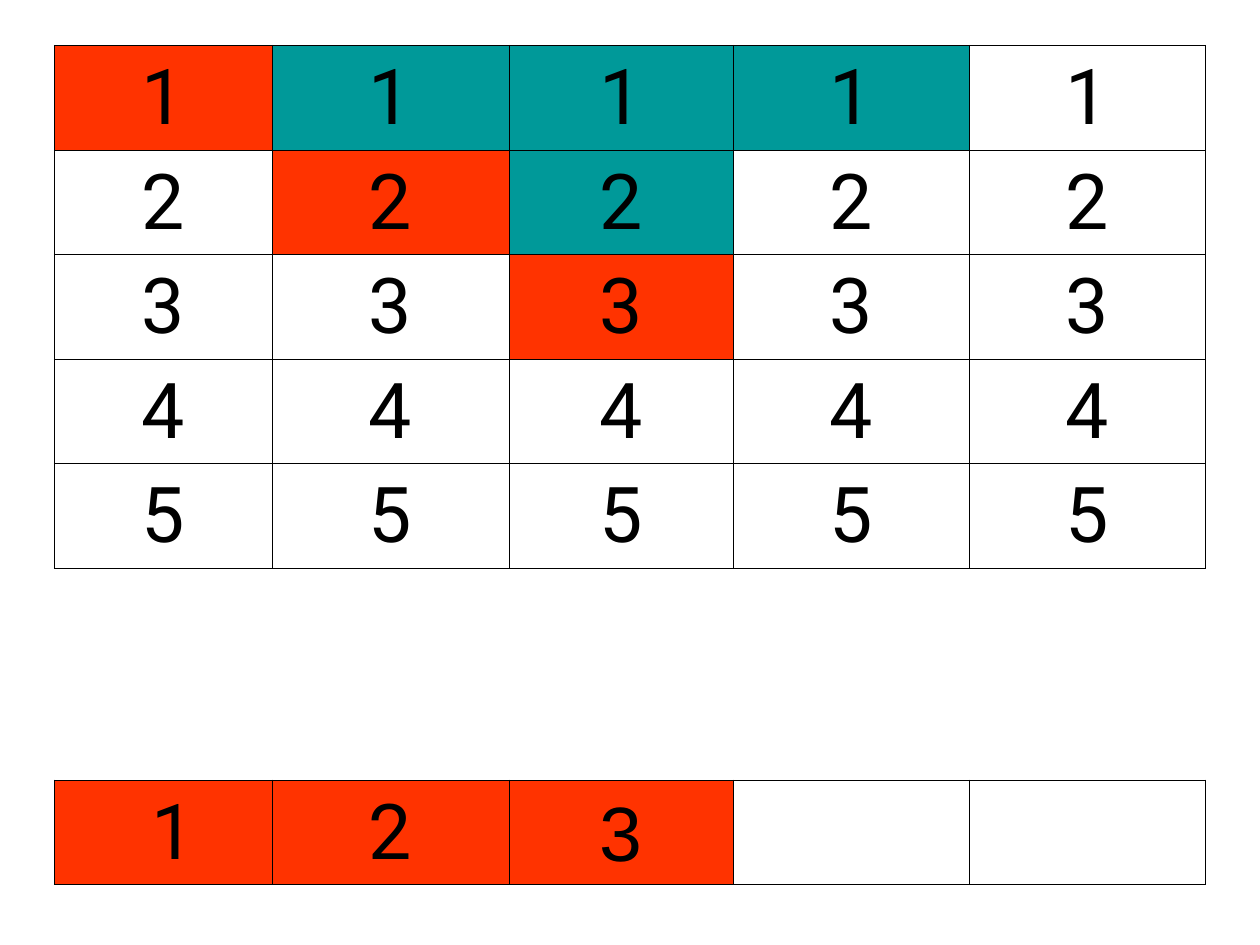
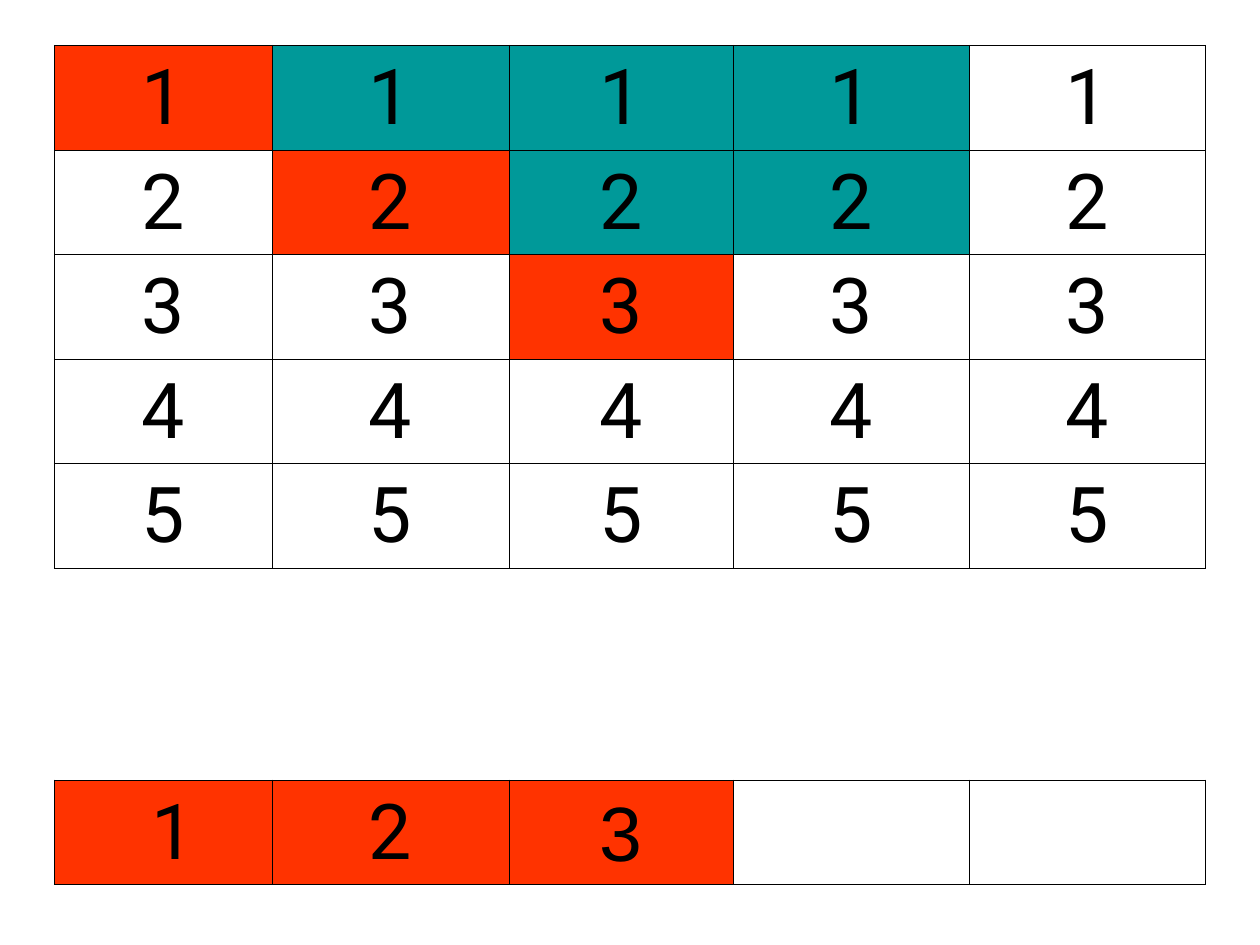
from dataclasses import dataclass

from lxml import etree
from pptx import Presentation
from pptx.dml.color import RGBColor
from pptx.enum.text import MSO_ANCHOR, PP_ALIGN
from pptx.oxml.ns import qn
from pptx.util import Emu, Pt

CENTER = PP_ALIGN.CENTER
BOTTOM = MSO_ANCHOR.BOTTOM

# Lengths are in px, 100 to the inch
SCALE = 9144
LEFT, TOP = 43, 36
COLS = (173, 188, 178, 187, 188)
ROW, GAP = 83, 168
ROWS = (ROW,) * 5 + (GAP, ROW)
GAP_ROW = 5

INK = "000000"
FILLS = {"r": "FF3300", "t": "009999", "w": "FFFFFF"}
EDGE = 0.45

# Top grid: each row repeats its number; the last row is the result
TEXTS = [[str(n)] * 5 for n in range(1, 6)] + [[""] * 5, [" 1", "2", "3", "", ""]]


@dataclass(frozen=True)
class Step:
    """One stage of the grid: a fill mark for each cell, row by row."""
    marks: tuple[str, ...]


def make_step(second: str) -> Step:
    return Step(("rttt.", second, "..r..", "....w", "...w.", ".....", "rrr.."))


STEPS = (make_step(".rt.."), make_step(".rtt."))


def px(size: int) -> Emu:
    return Emu(size * SCALE)


def color(code: str) -> RGBColor:
    return RGBColor.from_string(code)


def put_text(cell, text: str, *, size: int = 44, font: str = "Roboto",
             ink: str = INK) -> None:
    cell.vertical_anchor = BOTTOM
    para = cell.text_frame.paragraphs[0]
    para.alignment = CENTER
    run = para.add_run()
    run.text = text
    run.font.size = Pt(size)
    run.font.name = font
    run.font.color.rgb = color(ink)


def set_edges(cell, shown: str) -> None:
    """Draw the named sides and clear the others."""
    props = cell._tc.get_or_add_tcPr()
    for side in "LRTB":
        line = etree.SubElement(props, qn(f"a:ln{side}"), w=str(Pt(EDGE)))
        if side in shown:
            fill = etree.SubElement(line, qn("a:solidFill"))
            etree.SubElement(fill, qn("a:srgbClr"), val=INK)
        else:
            etree.SubElement(line, qn("a:noFill"))


def set_fill(cell, mark: str) -> None:
    if mark in FILLS:
        cell.fill.solid()
        cell.fill.fore_color.rgb = color(FILLS[mark])
    else:
        cell.fill.background()


def draw_grid(slide, step: Step) -> None:
    frame = slide.shapes.add_table(len(ROWS), len(COLS), px(LEFT), px(TOP),
                                   px(sum(COLS)), px(sum(ROWS)))
    grid = frame.table
    grid.first_row = grid.horz_banding = False
    for col, width in zip(grid.columns, COLS):
        col.width = px(width)
    for row, height in zip(grid.rows, ROWS):
        row.height = px(height)

    for r, (texts, marks) in enumerate(zip(TEXTS, step.marks)):
        for c, (text, mark) in enumerate(zip(texts, marks)):
            cell = grid.cell(r, c)
            set_edges(cell, "TB" if r == GAP_ROW else "LRTB")
            set_fill(cell, mark)
            if text:
                # The newest result is set in Arial
                last = r > GAP_ROW and text == "3"
                put_text(cell, text, font="Arial" if last else "Roboto")


def main() -> None:
    deck = Presentation()
    deck.slide_width, deck.slide_height = px(1000), px(750)
    blank = deck.slide_layouts[6]
    for step in STEPS:
        draw_grid(deck.slides.add_slide(blank), step)
    deck.save("out.pptx")


if __name__ == "__main__":
    main()
